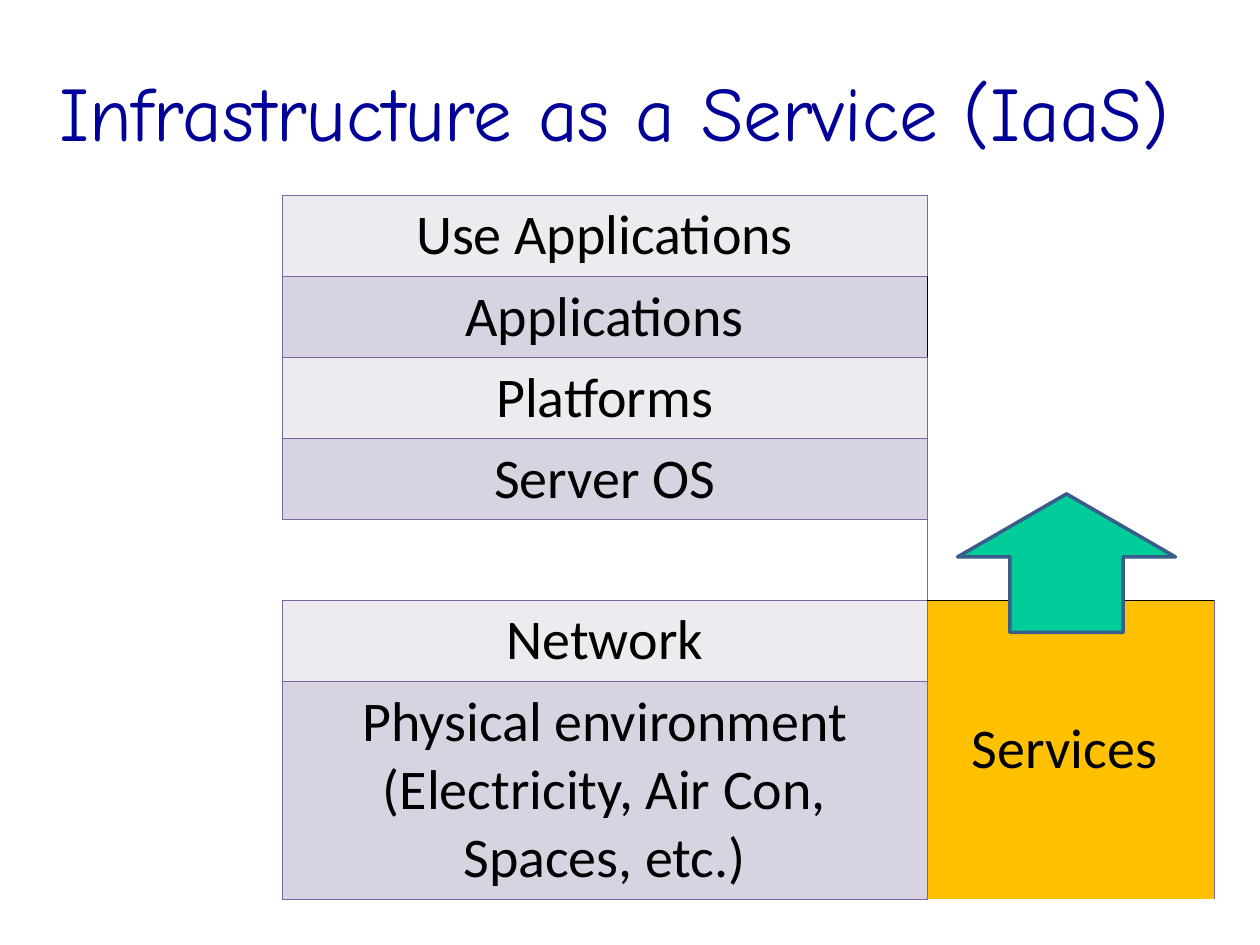
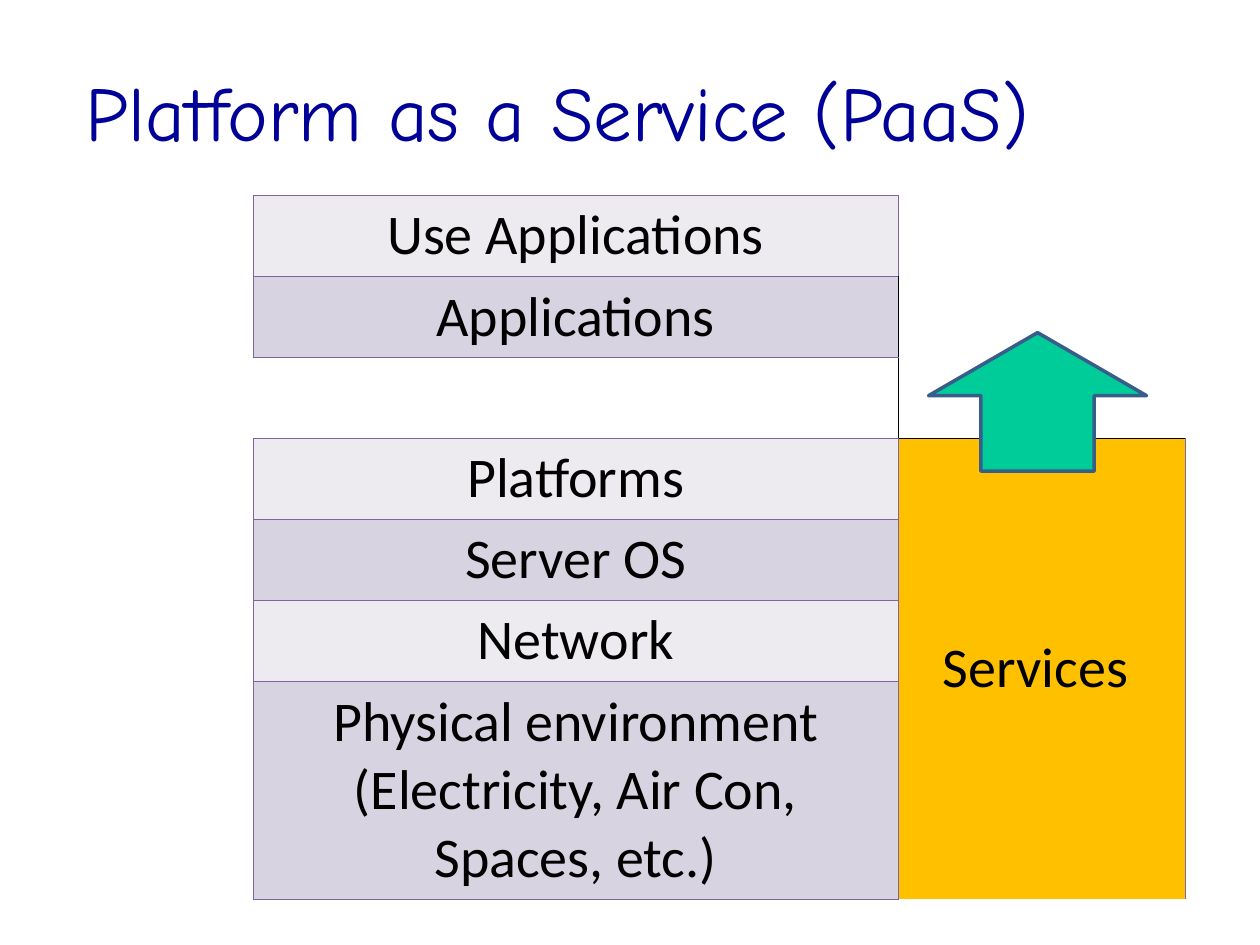
from dataclasses import dataclass

from lxml.etree import SubElement
from pptx import Presentation
from pptx.dml.color import RGBColor
from pptx.enum.shapes import MSO_SHAPE
from pptx.enum.text import MSO_ANCHOR, MSO_AUTO_SIZE, PP_ALIGN
from pptx.oxml.ns import qn
from pptx.util import Inches, Pt


@dataclass(frozen=True)
class Theme:
    title_font: str = "Comic Neue"
    body_font: str = "Calibri"
    title_size: int = 44
    body_size: int = 32
    title: str = "000099"
    text: str = "000000"
    bands: tuple = ("EDEAF0", "D8D3E0")
    blank: str = "FFFFFF"
    services: str = "FFC000"
    border: str = "8064A2"
    accent_border: str = "000000"
    border_width: float = 0.45
    arrow: str = "00CC99"
    arrow_line: str = "385D8A"
    arrow_line_width: float = 2


# Grid of 100 columns by 75 rows; all lengths below count its units
COLUMNS, ROWS = 100, 75
TITLE_TOP, TITLE_HEIGHT = 2.5, 12.5
TABLE_TOP = 15.5
LAYER_WIDTH, SERVICES_WIDTH = 51.2, 22.8
LAYER_HEIGHT, PHYSICAL_HEIGHT = 6.4, 17
ARROW_WIDTH, ARROW_HEIGHT = 17.3, 11
ARROW_INSET, ARROW_RISE = 2.4, 8.3
ARROW_SHAPE = (0.519, 0.455)

PLAIN_STYLE = "{2D5ABB26-0587-4C30-8999-92F81FD0307C}"
LAYERS = [
    "Use Applications",
    "Applications",
    "Platforms",
    "Server OS",
    "Network",
    "Physical environment\n(Electricity, Air Con, Spaces, etc.)",
]

# gap: row that separates the customer's layers from the provided ones
# open_row: first row of the merged blank area beside the customer's layers
MODELS = [
    dict(title="Infrastructure as a Service (IaaS)", title_left=3.7,
         title_width=93.5, table_left=22.4, gap=4, open_row=2),
    dict(title="Platform as a Service (PaaS)", title_left=5.8,
         title_width=85, table_left=20.1, gap=2, open_row=1),
]


def apply(target, **values):
    for name, value in values.items():
        setattr(target, name, value)


class SlideBuilder:
    def __init__(self, deck, theme):
        self.deck, self.theme = deck, theme
        self.slide = None

    def x(self, columns):
        return round(self.deck.slide_width * columns / COLUMNS)

    def y(self, rows):
        return round(self.deck.slide_height * rows / ROWS)

    def place(self, left, top, width, height):
        return dict(left=self.x(left), top=self.y(top),
                    width=self.x(width), height=self.y(height))

    def font(self, target, name, size, color):
        apply(target, name=name, size=Pt(size))
        target.color.rgb = RGBColor.from_string(color)

    def fill(self, target, color):
        target.fill.solid()
        target.fill.fore_color.rgb = RGBColor.from_string(color)

    # Slide and title
    def new_slide(self, title, left, width):
        self.slide = self.deck.slides.add_slide(self.deck.slide_layouts[5])
        box = self.slide.shapes.title
        apply(box, **self.place(left, TITLE_TOP, width, TITLE_HEIGHT))
        frame = box.text_frame
        apply(frame, text=title, word_wrap=True, auto_size=MSO_AUTO_SIZE.NONE,
              vertical_anchor=MSO_ANCHOR.MIDDLE)
        para = frame.paragraphs[0]
        para.alignment = PP_ALIGN.LEFT
        self.font(para.runs[0].font, self.theme.title_font,
                  self.theme.title_size, self.theme.title)

    # Table cells
    def borders(self, cell, **colors):
        """Draw the named sides (L, R, T, B) ahead of the cell's fill."""
        properties = cell._tc.get_or_add_tcPr()
        for index, side in enumerate(s for s in "LRTB" if s in colors):
            line = SubElement(properties, qn(f"a:ln{side}"),
                              w=str(Pt(self.theme.border_width)))
            paint = SubElement(line, qn("a:solidFill"))
            SubElement(paint, qn("a:srgbClr"), val=colors[side])
            properties.insert(index, line)

    def cell_text(self, cell, text):
        cell.text = text
        for para in cell.text_frame.paragraphs:
            para.alignment = PP_ALIGN.CENTER
            for span in para.runs:
                self.font(span.font, self.theme.body_font,
                          self.theme.body_size, self.theme.text)

    # Stack of layers with the services block beside the provided ones
    def layer_table(self, left, gap, open_row):
        theme = self.theme
        names = LAYERS[:gap] + [None] + LAYERS[gap:]
        heights = [LAYER_HEIGHT] * (len(names) - 1) + [PHYSICAL_HEIGHT]
        frame = self.slide.shapes.add_table(
            len(names), 2, **self.place(left, TABLE_TOP,
                                        LAYER_WIDTH + SERVICES_WIDTH, sum(heights)))
        table = frame.table
        apply(table, first_row=False, horz_banding=False)
        table._tbl.tblPr.find(qn("a:tableStyleId")).text = PLAIN_STYLE
        for column, width in zip(table.columns, (LAYER_WIDTH, SERVICES_WIDTH)):
            column.width = self.x(width)

        for index, (name, height) in enumerate(zip(names, heights)):
            table.rows[index].height = self.y(height)
            layer, side = table.cell(index, 0), table.cell(index, 1)
            self.fill(layer, theme.blank)
            self.fill(side, theme.services if index > gap else theme.blank)
            edges = dict(T=theme.border, B=theme.border)
            shared = {}
            if name:
                self.cell_text(layer, name)
                self.fill(layer, theme.bands[LAYERS.index(name) % 2])
                color = theme.accent_border if name == "Applications" else theme.border
                edges.update(L=theme.border, R=color)
                shared["L"] = color
            if index > gap:
                shared["R"] = theme.border
            if index == gap + 1:
                shared["T"] = theme.accent_border
            if index == gap:
                shared["B"] = theme.accent_border
            if index == len(names) - 1:
                shared["B"] = theme.border
            self.borders(layer, **edges)
            self.borders(side, **shared)

        table.cell(open_row, 1).merge(table.cell(gap, 1))
        services = table.cell(gap + 1, 1)
        services.merge(table.cell(len(names) - 1, 1))
        self.cell_text(services, "Services ")
        services.vertical_anchor = MSO_ANCHOR.MIDDLE

    # Arrow rising from the top of the services block
    def service_arrow(self, table_left, gap):
        services_top = TABLE_TOP + (gap + 1) * LAYER_HEIGHT
        arrow = self.slide.shapes.add_shape(
            MSO_SHAPE.UP_ARROW,
            **self.place(table_left + LAYER_WIDTH + ARROW_INSET,
                         services_top - ARROW_RISE, ARROW_WIDTH, ARROW_HEIGHT))
        for index, value in enumerate(ARROW_SHAPE):
            arrow.adjustments[index] = value
        arrow.shadow.inherit = False
        self.fill(arrow, self.theme.arrow)
        arrow.line.color.rgb = RGBColor.from_string(self.theme.arrow_line)
        arrow.line.width = Pt(self.theme.arrow_line_width)


def main():
    deck = Presentation()
    apply(deck, slide_width=Inches(10), slide_height=Inches(7.5))
    builder = SlideBuilder(deck, Theme())
    for model in MODELS:
        builder.new_slide(model["title"], model["title_left"], model["title_width"])
        builder.layer_table(model["table_left"], model["gap"], model["open_row"])
        builder.service_arrow(model["table_left"], model["gap"])
    deck.save("out.pptx")


if __name__ == "__main__":
    main()
